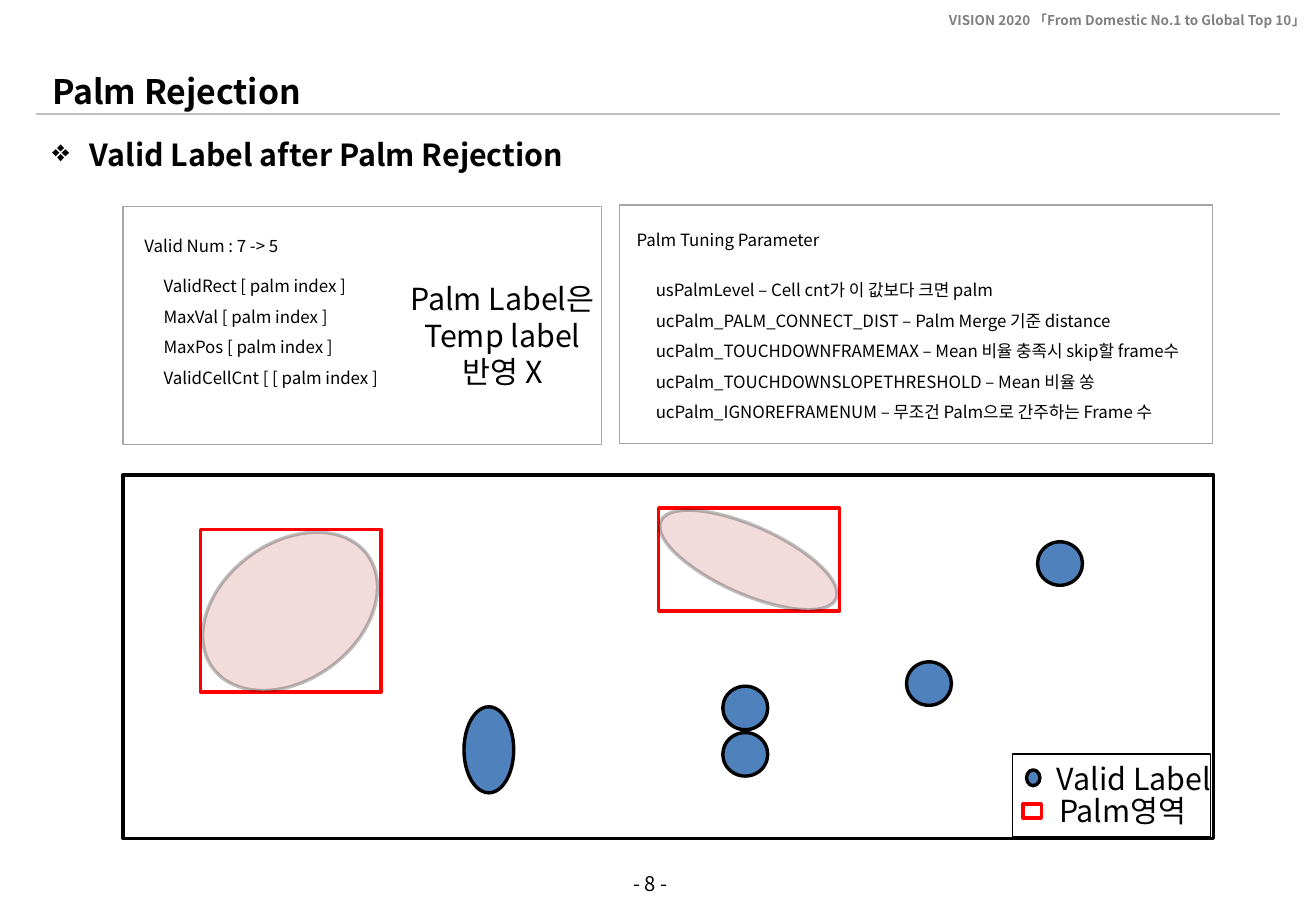
"""Build the Palm Rejection slide."""
import dataclasses
import typing

import lxml.etree
import pptx
import pptx.dml.color
import pptx.enum.shapes
import pptx.enum.text
import pptx.oxml.ns
import pptx.slide
import pptx.util

Cm = pptx.util.Cm
Pt = pptx.util.Pt
Color = pptx.dml.color.RGBColor
Kind = pptx.enum.shapes.MSO_SHAPE
Align = pptx.enum.text.PP_ALIGN
Anchor = pptx.enum.text.MSO_ANCHOR
qn = pptx.oxml.ns.qn

FONT = "Noto Sans CJK KR"
BLACK = Color(0x00, 0x00, 0x00)
GREY = Color(0x80, 0x80, 0x80)
SILVER = Color(0xA6, 0xA6, 0xA6)
PALE = Color(0xBF, 0xBF, 0xBF)
RED = Color(0xFF, 0x00, 0x00)
BLUE = Color(0x4F, 0x81, 0xBD)
PINK = Color(0xF2, 0xDC, 0xDB)


@dataclasses.dataclass
class Form:
    """A rectangle or an ellipse, in centimetres."""
    kind: Kind
    left: float
    top: float
    width: float
    height: float
    line: Color = BLACK
    weight: float = 2
    fill: typing.Optional[Color] = None
    turn: float = 0
    alpha: int = 100


@dataclasses.dataclass
class Line:
    """One paragraph of text."""
    text: str
    space: float = 1
    before: float = 0
    indent: float = 0
    bullet: str = ""


@dataclasses.dataclass
class Label:
    """A text box, in centimetres and points."""
    left: float
    top: float
    width: float
    height: float
    size: float
    lines: list[Line]
    align: Align = Align.LEFT
    color: Color = BLACK
    bold: bool = False
    anchor: Anchor = Anchor.TOP


def draw_form(slide: pptx.slide.Slide, form: Form) -> None:
    """Draw one outlined shape."""
    shape = slide.shapes.add_shape(
        form.kind, Cm(form.left), Cm(form.top), Cm(form.width), Cm(form.height))
    shape.shadow.inherit = False
    shape.rotation = form.turn
    if form.fill is None:
        shape.fill.background()
    else:
        shape.fill.solid()
        shape.fill.fore_color.rgb = form.fill
    shape.line.color.rgb = form.line
    shape.line.width = Pt(form.weight)
    if form.alpha < 100:
        tint = shape.line._ln.find(".//" + qn("a:srgbClr"))
        lxml.etree.SubElement(tint, qn("a:alpha"), val=str(form.alpha * 1000))


def draw_label(slide: pptx.slide.Slide, label: Label) -> None:
    """Draw one text box."""
    box = slide.shapes.add_textbox(
        Cm(label.left), Cm(label.top), Cm(label.width), Cm(label.height))
    frame = box.text_frame
    frame.word_wrap = True
    frame.vertical_anchor = label.anchor
    for index, line in enumerate(label.lines):
        para = frame.add_paragraph() if index else frame.paragraphs[0]
        para.alignment = label.align
        para.line_spacing = line.space
        para.space_before = Pt(line.before)
        props = para._p.get_or_add_pPr()
        props.set("marL", str(Cm(line.indent)))
        if line.bullet:
            props.set("indent", str(-Cm(line.indent)))
            lxml.etree.SubElement(props, qn("a:buChar"), char=line.bullet)
        run = para.add_run()
        run.text = line.text
        run.font.size = Pt(label.size)
        run.font.bold = label.bold
        run.font.color.rgb = label.color
        run.font.name = FONT
        lxml.etree.SubElement(run._r.get_or_add_rPr(), qn("a:ea"), typeface=FONT)


def draw_rule(slide: pptx.slide.Slide, left: float, right: float, top: float) -> None:
    """Draw the line under the title."""
    rule = slide.shapes.add_connector(
        pptx.enum.shapes.MSO_CONNECTOR.STRAIGHT, Cm(left), Cm(top), Cm(right), Cm(top))
    rule.line.color.rgb = PALE
    rule.line.width = Pt(1)
    lxml.etree.SubElement(rule._element.spPr, qn("a:effectLst"))


def list_lines(head: str, items: list[str], first: float) -> list[Line]:
    """Set a heading over indented items."""
    rows = [Line(item, 1.5, 0, 0.4) for item in items]
    rows[0].space, rows[0].before = first, 12
    return [Line(head)] + rows


DOTS = [(15.11, 14.35), (15.11, 15.32), (18.95, 13.84), (21.69, 11.33)]
FORMS = [
    Form(Kind.RECTANGLE, 21.16, 15.77, 4.14, 1.73, weight=0.75),
    Form(Kind.RECTANGLE, 2.57, 4.32, 10, 4.98, SILVER, 0.75),
    Form(Kind.RECTANGLE, 12.95, 4.29, 12.4, 4.98, SILVER, 0.75),
    Form(Kind.RECTANGLE, 2.57, 9.93, 22.8, 7.6),
    Form(Kind.RECTANGLE, 4.19, 11.07, 3.78, 3.4, RED),
    Form(Kind.OVAL, 4.06, 11.35, 4.01, 2.87, fill=PINK, turn=323.9, alpha=25),
    Form(Kind.RECTANGLE, 13.77, 10.62, 3.78, 2.16, RED),
    Form(Kind.OVAL, 13.64, 11, 4.01, 1.42, fill=PINK, turn=24, alpha=25),
    Form(Kind.OVAL, 9.7, 14.78, 1.04, 1.8, fill=BLUE),
    *[Form(Kind.OVAL, left, top, 0.94, 0.91, fill=BLUE) for left, top in DOTS],
    Form(Kind.RECTANGLE, 21.39, 16.81, 0.38, 0.3, RED),
    Form(Kind.OVAL, 21.46, 16.1, 0.28, 0.33, fill=BLUE),
]
VALID = list_lines("Valid Num : 7 -> 5", [
    "ValidRect [ palm index ]",
    "MaxVal [ palm index ]",
    "MaxPos [ palm index ]",
    "ValidCellCnt [ [ palm index ]",
], 1)
TUNING = list_lines("Palm Tuning Parameter", [
    "usPalmLevel – Cell cnt가 이 값보다 크면 palm",
    "ucPalm_PALM_CONNECT_DIST – Palm Merge 기준 distance",
    "ucPalm_TOUCHDOWNFRAMEMAX – Mean 비율 충족시 skip할 frame수",
    "ucPalm_TOUCHDOWNSLOPETHRESHOLD – Mean 비율 쏭",
    "ucPalm_IGNOREFRAMENUM – 무조건 Palm으로 간주하는 Frame 수",
], 1.5)
NOTE = [Line("Palm Label은"), Line("Temp label"), Line("반영 X")]
TOPIC = Line("Valid Label after Palm Rejection", indent=0.79, bullet="❖")
LABELS = [
    Label(16.97, 0.13, 10.57, 0.61, 8,
          [Line("VISION 2020 「From Domestic No.1 to Global Top 10」")],
          Align.RIGHT, GREY, True),
    Label(10.64, 17.81, 5.92, 1.32, 12, [Line("- 8 -")], Align.CENTER,
          anchor=Anchor.MIDDLE),
    Label(0.84, 1.35, 23.72, 1.12, 20, [Line("Palm Rejection")], bold=True),
    Label(0.84, 2.72, 15.75, 1.02, 18, [TOPIC], bold=True),
    Label(2.77, 4.8, 5.77, 3.45, 10, VALID),
    Label(21.89, 16.43, 5.5, 1.02, 18, [Line("Palm영역")]),
    Label(21.84, 15.77, 5.5, 1.02, 18, [Line("Valid Label")]),
    Label(8.03, 5.74, 4.95, 2.57, 18, NOTE, Align.CENTER),
    Label(13.06, 4.67, 12.7, 4.32, 10, TUNING),
]


def main() -> None:
    """Draw the slide and save it."""
    deck = pptx.Presentation()
    deck.slide_width, deck.slide_height = Cm(27.51), Cm(19.05)
    slide = deck.slides.add_slide(deck.slide_layouts[6])
    draw_rule(slide, 0.76, 26.75, 2.39)
    for form in FORMS:
        draw_form(slide, form)
    for label in LABELS:
        draw_label(slide, label)
    deck.save("out.pptx")


if __name__ == "__main__":
    main()
